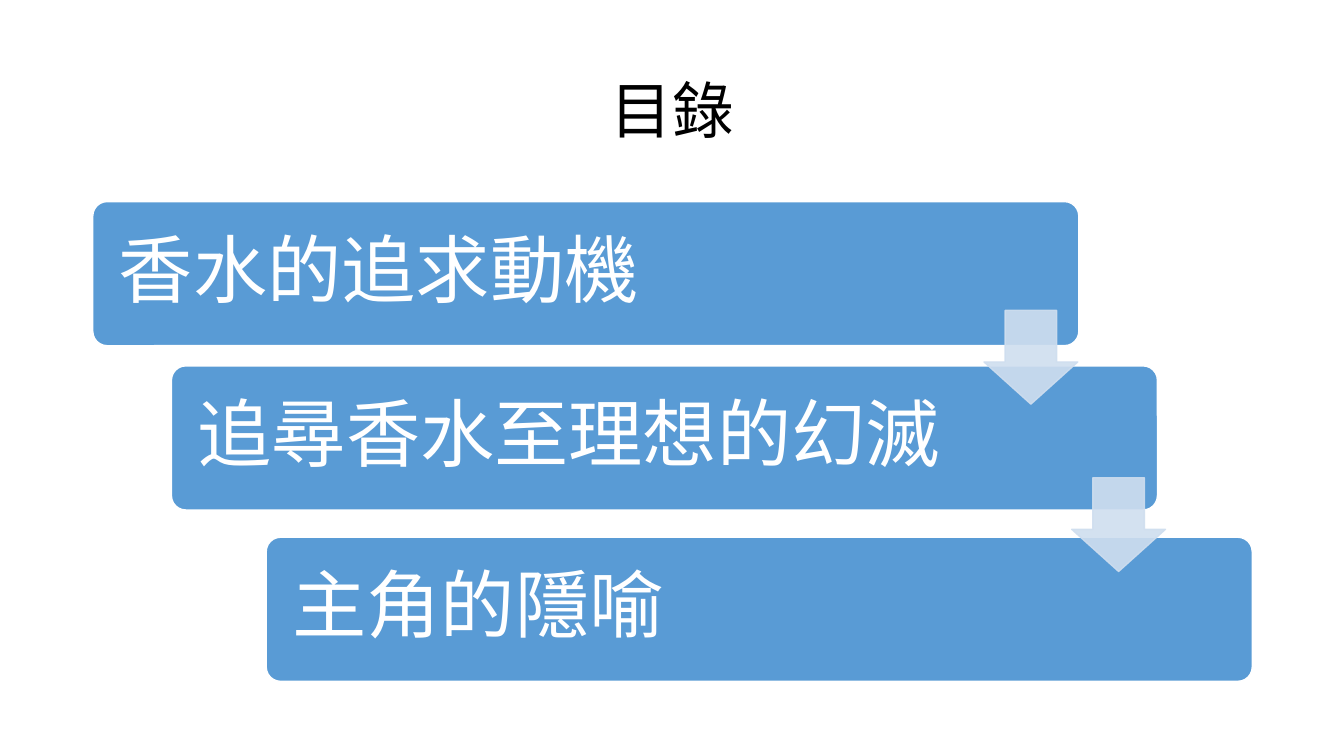
from dataclasses import dataclass

from lxml import etree
from pptx import Presentation
from pptx.dml.color import RGBColor
from pptx.enum.shapes import MSO_SHAPE
from pptx.enum.text import MSO_ANCHOR, PP_ALIGN
from pptx.oxml.ns import qn
from pptx.util import Pt

ROUND_RECT = MSO_SHAPE.ROUNDED_RECTANGLE
DOWN_ARROW = MSO_SHAPE.DOWN_ARROW
MIDDLE = MSO_ANCHOR.MIDDLE
LEFT, CENTER = PP_ALIGN.LEFT, PP_ALIGN.CENTER

EMU_PER_PX = 9144  # 100 px to the inch
COLORS = {"title": "000000", "step": "599BD5", "edge": "FFFFFF",
          "label": "FFFFFF", "arrow": "CFDEEF"}
FONT = "Calibri"
STEP_W, STEP_H = 978, 143
LABEL_GAP, LABEL_H, LABEL_INSET = 4, 134, 22
ARROW_SIZE = 93


@dataclass(frozen=True)
class Box:
    left: int
    top: int
    width: int
    height: int

    def emu(self) -> list[int]:
        return [px(n) for n in (self.left, self.top, self.width, self.height)]


@dataclass(frozen=True)
class Step:
    text: str
    left: int
    top: int
    label_width: int


@dataclass(frozen=True)
class Arrow:
    left: int
    top: int


STEPS = [
    Step("香水的追求動機", 92, 200, 823),
    Step("追尋香水至理想的幻滅", 170, 363, 790),
    Step("主角的隱喻", 264, 533, 790),
]
ARROWS = [Arrow(976, 308), Arrow(1063, 474)]


def px(length: int) -> int:
    return length * EMU_PER_PX


def rgb(name: str) -> RGBColor:
    return RGBColor.from_string(COLORS[name])


def add_text(slide, box: Box, text: str, size: int, color: str,
             align: PP_ALIGN, inset_x: int, inset_y: int) -> None:
    frame = slide.shapes.add_textbox(*box.emu()).text_frame
    frame_format = {
        "word_wrap": True, "vertical_anchor": MIDDLE,
        "margin_left": px(inset_x), "margin_right": px(inset_x),
        "margin_top": px(inset_y), "margin_bottom": px(inset_y),
    }
    for name, value in frame_format.items():
        setattr(frame, name, value)
    paragraph = frame.paragraphs[0]
    paragraph.alignment = align
    paragraph.line_spacing = 0.9
    run = paragraph.add_run()
    run.text = text
    for name, value in {"name": FONT, "size": Pt(size)}.items():
        setattr(run.font, name, value)
    run.font.color.rgb = rgb(color)


def add_block(slide, kind: MSO_SHAPE, box: Box, adjustments: list[float],
              fill: str, line: str):
    block = slide.shapes.add_shape(kind, *box.emu())
    block.shadow.inherit = False
    for index, value in enumerate(adjustments):
        block.adjustments[index] = value
    block.fill.solid()
    block.fill.fore_color.rgb = rgb(fill)
    block.line.color.rgb = rgb(line)
    block.line.width = Pt(1)
    return block


def set_opacity(block, percent: int) -> None:
    for color in block.fill._xPr.iter(qn("a:srgbClr")):
        etree.SubElement(color, qn("a:alpha"), val=str(percent * 1000))


def add_step(slide, step: Step) -> None:
    add_block(slide, ROUND_RECT, Box(step.left, step.top, STEP_W, STEP_H),
              [0.1], "step", "edge")
    label = Box(step.left + LABEL_GAP, step.top + LABEL_GAP,
                step.label_width, LABEL_H)
    add_text(slide, label, step.text, 53, "label", LEFT,
             LABEL_INSET, LABEL_INSET)


def add_arrow(slide, arrow: Arrow) -> None:
    box = Box(arrow.left, arrow.top, ARROW_SIZE, ARROW_SIZE)
    block = add_block(slide, DOWN_ARROW, box, [0.55, 0.45], "arrow", "arrow")
    # The adjustments run shaft width first, then head length
    block.adjustments[0], block.adjustments[1] = 0.55, 0.45
    set_opacity(block, 90)


def main() -> None:
    deck = Presentation()
    deck.slide_width, deck.slide_height = px(1333), px(750)
    slide = deck.slides.add_slide(deck.slide_layouts[6])

    # Title
    add_text(slide, Box(92, 40, 1150, 145), "目錄", 44, "title", CENTER, 10, 5)

    # Staircase of topics
    for step in STEPS:
        add_step(slide, step)

    # Arrows between topics
    for arrow in ARROWS:
        add_arrow(slide, arrow)

    deck.save("out.pptx")


if __name__ == "__main__":
    main()
